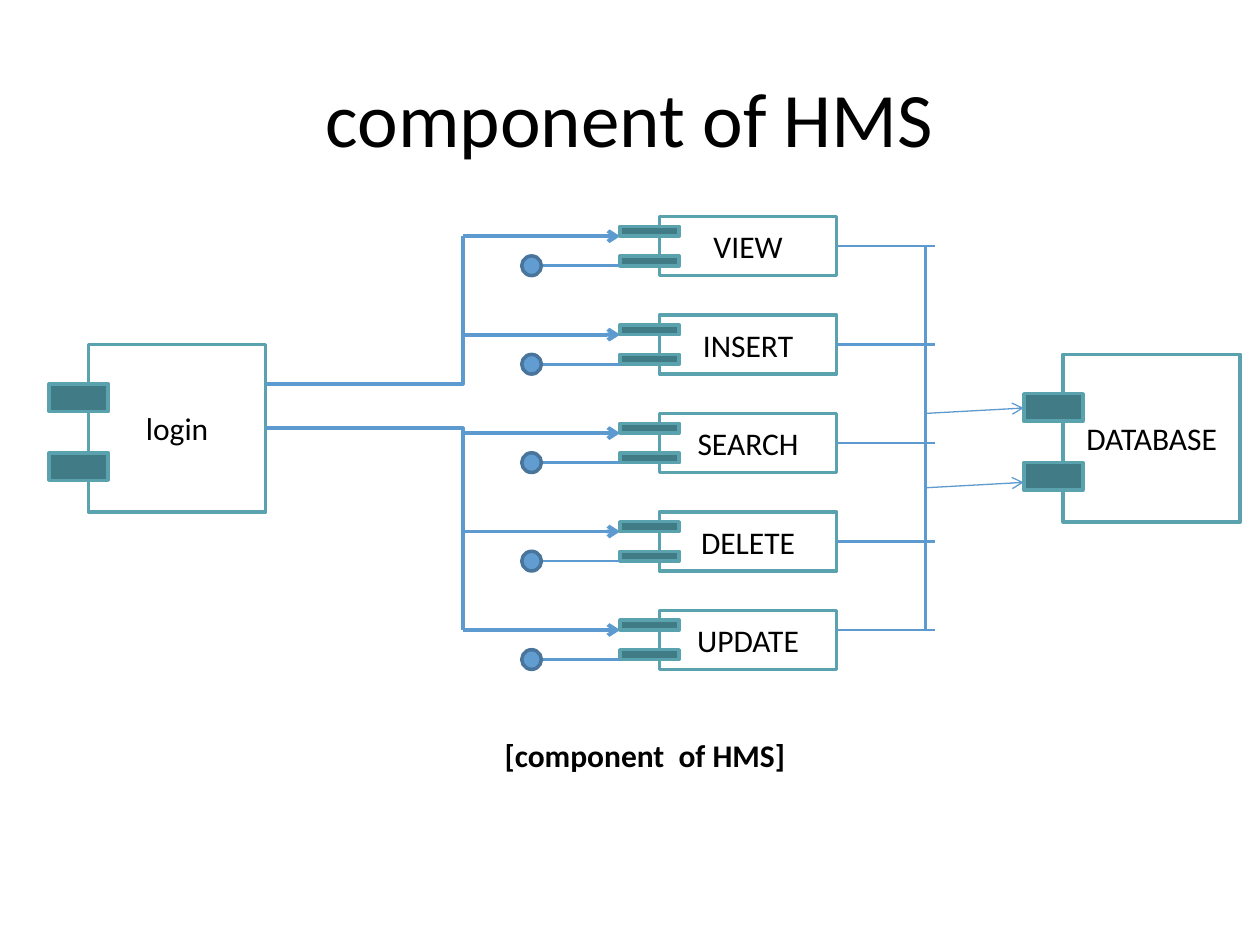
from lxml import etree
from pptx import Presentation
from pptx.dml.color import RGBColor
from pptx.enum.shapes import MSO_CONNECTOR, MSO_SHAPE
from pptx.enum.text import MSO_ANCHOR, PP_ALIGN
from pptx.oxml.ns import qn
from pptx.util import Pt

RECT, OVAL = MSO_SHAPE.RECTANGLE, MSO_SHAPE.OVAL
STRAIGHT, ELBOW = MSO_CONNECTOR.STRAIGHT, MSO_CONNECTOR.ELBOW
MIDDLE, TOP = MSO_ANCHOR.MIDDLE, MSO_ANCHOR.TOP
CENTER, LEFT = PP_ALIGN.CENTER, PP_ALIGN.LEFT

COLORS = {
    "text": "000000", "body": "FFFFFF", "border": "5AA2AE", "tab": "417B85",
    "wire": "5D9ACF", "port": "629DD1", "port_border": "49749B",
}
OPERATIONS = ["VIEW", "INSERT", "SEARCH", "DELETE", "UPDATE"]
ROW_LEFT, ROW_TOP, ROW_PITCH = 264.38, 123.75, 56.25
BODY_W, ROW_H, BLOCK_H = 101.25, 33.75, 95.76
BODY_DX, ARROW_DY = 112.5, 11.25
TAB_W, TAB_OVERHANG = 33.75, 22.5


def rgb(name):
    """Return the named colour."""
    return RGBColor.from_string(COLORS[name])


def write(tf, text, align=CENTER, anchor=MIDDLE, **formats):
    """Put one formatted line of text in a text frame."""
    tf.word_wrap = True
    tf.vertical_anchor = anchor
    p = tf.paragraphs[0]
    p.alignment = align
    r = p.add_run()
    r.text = text
    r.font.color.rgb = rgb("text")
    for name, value in {"name": "Calibri", "size": Pt(18), **formats}.items():
        setattr(r.font, name, value)


def add_text(s, box, text, **formats):
    """Add a text box."""
    write(s.shapes.add_textbox(*map(Pt, box)).text_frame, text, **formats)


def add_box(s, kind, box, fill, border):
    """Add a filled and outlined shape."""
    sp = s.shapes.add_shape(kind, *map(Pt, box))
    sp.shadow.inherit = False
    sp.fill.solid()
    sp.fill.fore_color.rgb = rgb(fill)
    sp.line.color.rgb = rgb(border)
    sp.line.width = Pt(2)
    return sp


def add_wire(s, start, end, width=1.5, arrow=False, kind=STRAIGHT):
    """Add a connector; an elbow turns only at its end column."""
    sp = s.shapes.add_connector(kind, *map(Pt, (*start, *end)))
    sp.line.color.rgb = rgb("wire")
    sp.line.width = Pt(width)
    sp_pr = sp.line._get_or_add_ln().getparent()
    etree.SubElement(sp_pr, qn("a:effectLst"))
    if arrow:
        etree.SubElement(sp.line._get_or_add_ln(), qn("a:tailEnd"), type="arrow")
    if kind == ELBOW:
        guides = sp_pr.find(qn("a:prstGeom")).get_or_add_avLst()
        etree.SubElement(guides, qn("a:gd"), name="adj1", fmla="val 100000")


def add_component(s, box, label, tab_tops, tab_h):
    """Draw a labelled component with two tabs over its left edge."""
    x, y = box[:2]
    write(add_box(s, RECT, box, "body", "border").text_frame, label)
    for dy in tab_tops:
        add_box(s, RECT, (x - TAB_OVERHANG, y + dy, TAB_W, tab_h), "tab", "border")


def add_operation(s, x, y, label):
    """Draw an operation row with its input arrow and lollipop port."""
    tab_x = x + BODY_DX - TAB_OVERHANG
    add_wire(s, (x, y + ARROW_DY), (tab_x, y + ARROW_DY), 2.25, True)
    add_component(s, (x + BODY_DX, y, BODY_W, ROW_H), label, (5.63, 22.5), 5.63)
    add_wire(s, (x + 45, y + 28.13), (tab_x, y + 28.13))
    add_box(s, OVAL, (x + 33.75, y + 22.5, 11.25, 11.25), "port", "port_border")


def add_block(s, x, y, label):
    """Draw a large end component."""
    add_component(s, (x, y, BODY_W, BLOCK_H), label, (22.5, 61.88), 15.75)


def add_bus(s, x, bus_x, levels):
    """Join the operation outputs to a vertical bus."""
    for y in levels:
        add_wire(s, (x, y), (bus_x + 5.63, y))
    add_wire(s, (bus_x, levels[0]), (bus_x, levels[-1]))


def build_slide(s):
    """Lay out the component diagram with its title and caption."""
    add_text(s, (36, 21.6, 648, 90), "component of HMS", size=Pt(44))
    rows = [ROW_TOP + i * ROW_PITCH for i in range(len(OPERATIONS))]
    for y, label in zip(rows, OPERATIONS):
        add_operation(s, ROW_LEFT, y, label)
    bus_x = 528.75
    levels = [y + ROW_H / 2 for y in rows[:-1]] + [rows[-1] + ARROW_DY]
    add_bus(s, ROW_LEFT + BODY_DX + BODY_W, bus_x, levels)
    add_block(s, 607.5, 202.5, "DATABASE")
    for y in (236.25, 278.75):
        add_wire(s, (bus_x, y), (607.5 - TAB_OVERHANG, y - 3.1), 0.75, True)
    add_block(s, 50.63, 196.88, "login")
    for y, row in ((219.38, rows[0]), (244.69, rows[-1])):
        add_wire(s, (50.63 + BODY_W, y), (ROW_LEFT, row + ARROW_DY), 2.25, kind=ELBOW)
    add_text(s, (281.25, 417, 180, 29), "[component  of HMS]",
             align=LEFT, anchor=TOP, bold=True)


def main():
    """Build and save the presentation."""
    prs = Presentation()
    prs.slide_width, prs.slide_height = Pt(720), Pt(540)
    build_slide(prs.slides.add_slide(prs.slide_layouts[6]))
    prs.save("out.pptx")


if __name__ == "__main__":
    main()
